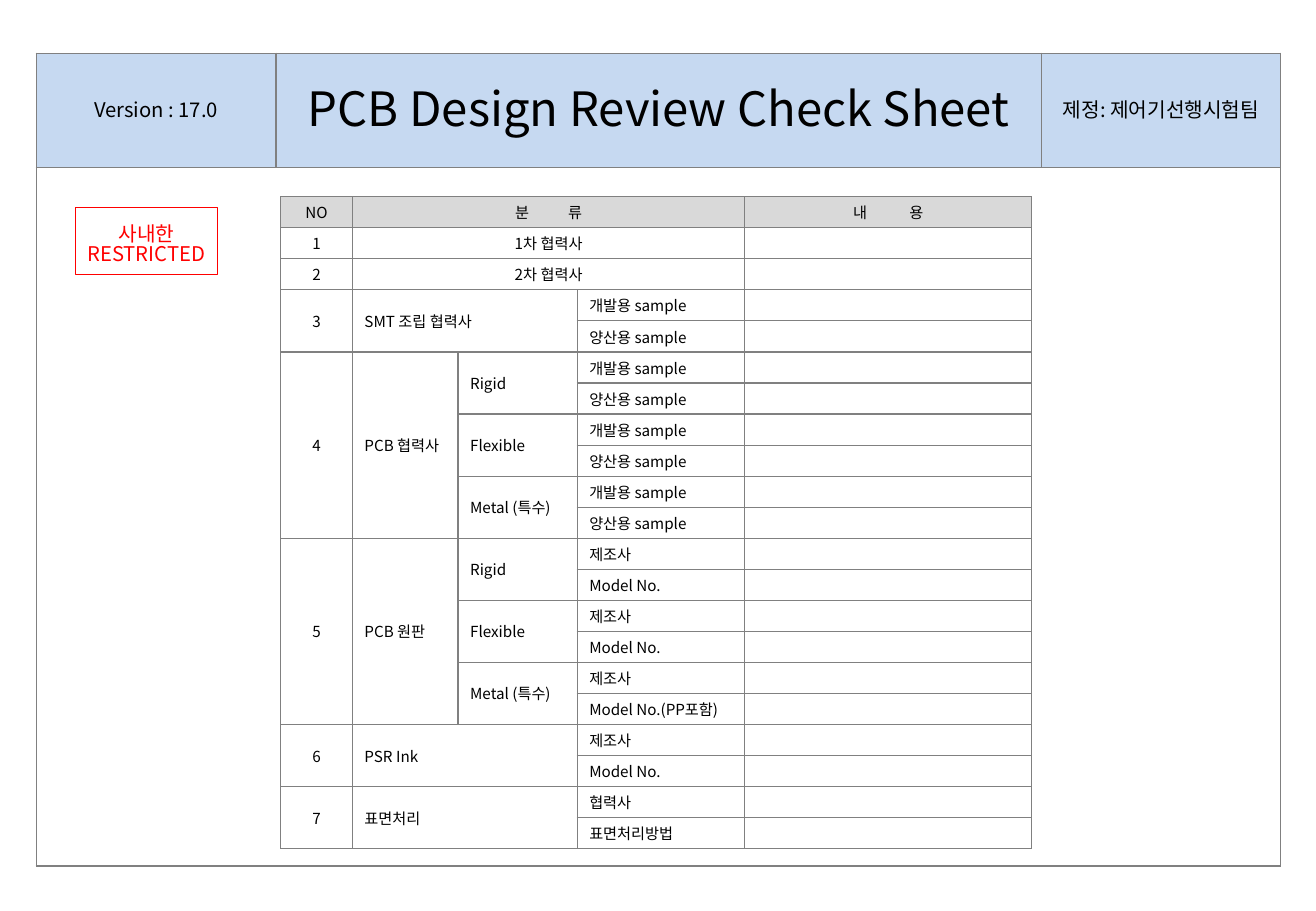
import pptx
import pptx.util
import pptx.dml.color
import pptx.enum.shapes
import pptx.enum.text
import pptx.oxml
import pptx.oxml.ns

Inches = pptx.util.Inches
Pt = pptx.util.Pt
CENTER = pptx.enum.text.PP_ALIGN.CENTER
LEFT = pptx.enum.text.PP_ALIGN.LEFT
MIDDLE = pptx.enum.text.MSO_ANCHOR.MIDDLE

FONT = "Noto Sans CJK KR"
COLORS = {
    "text": "000000",
    "restricted": "FF0000",
    "banner": "C6D9F1",
    "heading": "D9D9D9",
    "border": "808080",
}

BANNER = [("Version : 17.0", 12), ("PCB Design Review Check Sheet", 28), ("제정: 제어기선행시험팀", 12)]

# Headings: first part, gap in points, last part
CATEGORY_HEADING = ("분", 21, "류")
CONTENT_HEADING = ("내", 23, "용")

SAMPLES = ["개발용 sample", "양산용 sample"]
MAKER = ["제조사", "Model No."]
# Each item: category, then (type, details) groups; a type of None joins the category cell
ITEMS = [
    ("1차 협력사", []),
    ("2차 협력사", []),
    ("SMT 조립 협력사", [(None, SAMPLES)]),
    ("PCB 협력사", [("Rigid", SAMPLES), ("Flexible", SAMPLES), ("Metal (특수)", SAMPLES)]),
    ("PCB 원판", [("Rigid", MAKER), ("Flexible", MAKER), ("Metal (특수)", ["제조사", "Model No.(PP포함)"])]),
    ("PSR Ink", [(None, MAKER)]),
    ("표면처리", [(None, ["협력사", "표면처리방법"])]),
]


def color(name):
    return pptx.dml.color.RGBColor.from_string(COLORS[name])


def format_run(run, size, color_name="text"):
    run.font.size = Pt(size)
    run.font.name = FONT
    run.font.bold = False
    run.font.color.rgb = color(color_name)
    east_asian = pptx.oxml.parse_xml(
        f'<a:ea {pptx.oxml.ns.nsdecls("a")} typeface="{FONT}"/>')
    run.font._element.append(east_asian)


def border_cell(cell, width):
    properties = cell._tc.get_or_add_tcPr()
    for index, side in enumerate(("lnL", "lnR", "lnT", "lnB")):
        properties.insert(index, pptx.oxml.parse_xml(
            f'<a:{side} {pptx.oxml.ns.nsdecls("a")} w="{Pt(width)}"><a:solidFill>'
            f'<a:srgbClr val="{COLORS["border"]}"/></a:solidFill></a:{side}>'))


def add_grid(slide, left, top, columns, rows, border, margins):
    """Add a plain bordered table with small empty cells."""
    frame = slide.shapes.add_table(len(rows), len(columns), Inches(left), Inches(top),
                                   Inches(sum(columns)), Inches(sum(rows)))
    table = frame.table
    table.first_row = table.horz_banding = False
    for column, width in zip(table.columns, columns):
        column.width = Inches(width)
    for row, height in zip(table.rows, rows):
        row.height = Inches(height)
    for cell in table.iter_cells():
        cell.fill.background()
        border_cell(cell, border)
        cell.vertical_anchor = MIDDLE
        cell.margin_left = cell.margin_right = Inches(margins[0])
        cell.margin_top = cell.margin_bottom = Inches(margins[1])
        cell.text_frame.paragraphs[0]._p.append(pptx.oxml.parse_xml(
            f'<a:endParaRPr {pptx.oxml.ns.nsdecls("a")} sz="900"/>'))
    return table


def fill_cell(cell, text, size=9, alignment=LEFT, fill=None):
    paragraph = cell.text_frame.paragraphs[0]
    paragraph.alignment = alignment
    paragraph.add_run().text = text
    format_run(paragraph.runs[0], size)
    if fill:
        cell.fill.solid()
        cell.fill.fore_color.rgb = color(fill)
    return paragraph


def fill_spread_heading(cell, heading):
    """Write a heading whose two syllables stand apart by a widened space."""
    first, gap, last = heading
    paragraph = fill_cell(cell, first, alignment=CENTER, fill="heading")
    for text in (" ", last):
        run = paragraph.add_run()
        run.text = text
        format_run(run, 9)
    paragraph.runs[1].font._element.set("spc", str(gap * 100))


def add_restricted_stamp(slide):
    stamp = slide.shapes.add_shape(pptx.enum.shapes.MSO_SHAPE.RECTANGLE,
                                   Inches(0.62), Inches(1.71), Inches(1.17), Inches(0.55))
    stamp.shadow.inherit = False
    stamp.fill.background()
    stamp.line.color.rgb = color("restricted")
    stamp.line.width = Pt(0.75)
    frame = stamp.text_frame
    frame.word_wrap = False
    frame.vertical_anchor = MIDDLE
    frame.margin_top, frame.margin_bottom = Inches(0.08), Inches(0)
    frame.text = "사내한\nRESTRICTED"
    for paragraph in frame.paragraphs:
        paragraph.alignment = CENTER
        paragraph.line_spacing = 0.82
        format_run(paragraph.runs[0], 12, "restricted")


def add_sheet_frame(slide):
    table = add_grid(slide, 0.3, 0.44, [1.97, 6.3, 1.97], [0.94, 5.75], 1, (0, 0))
    for index, (text, size) in enumerate(BANNER):
        paragraph = fill_cell(table.cell(0, index), text, size, CENTER, "banner")
        paragraph.line_spacing = 0.8
    table.cell(1, 0).merge(table.cell(1, 2))


def add_check_table(slide):
    row_count = 1 + sum(sum(len(details) for _, details in groups) or 1 for _, groups in ITEMS)
    table = add_grid(slide, 2.31, 1.62, [0.59, 0.87, 0.98, 1.38, 2.36],
                     [5.37 / row_count] * row_count, 0.75, (0.1, 0.03))

    # Heading row
    fill_cell(table.cell(0, 0), "NO", alignment=CENTER, fill="heading")
    table.cell(0, 1).merge(table.cell(0, 3))
    fill_spread_heading(table.cell(0, 1), CATEGORY_HEADING)
    fill_spread_heading(table.cell(0, 4), CONTENT_HEADING)

    # Numbered items
    row = 1
    for number, (category, groups) in enumerate(ITEMS, 1):
        height = sum(len(details) for _, details in groups) or 1
        last = row + height - 1
        if height > 1:
            table.cell(row, 0).merge(table.cell(last, 0))
        fill_cell(table.cell(row, 0), str(number), alignment=CENTER)
        if not groups:
            last_column = 3
        else:
            last_column = 1 if groups[0][0] else 2
        table.cell(row, 1).merge(table.cell(last, last_column))
        fill_cell(table.cell(row, 1), category, alignment=LEFT if groups else CENTER)
        detail_row = row
        for kind, details in groups:
            if kind:
                table.cell(detail_row, 2).merge(table.cell(detail_row + len(details) - 1, 2))
                fill_cell(table.cell(detail_row, 2), kind)
            for detail in details:
                fill_cell(table.cell(detail_row, 3), detail)
                detail_row += 1
        row += height


def main():
    presentation = pptx.Presentation()
    presentation.slide_width = Inches(10.83)
    presentation.slide_height = Inches(7.5)
    slide = presentation.slides.add_slide(presentation.slide_layouts[6])
    add_restricted_stamp(slide)
    add_sheet_frame(slide)
    add_check_table(slide)
    presentation.save("out.pptx")


if __name__ == "__main__":
    main()
